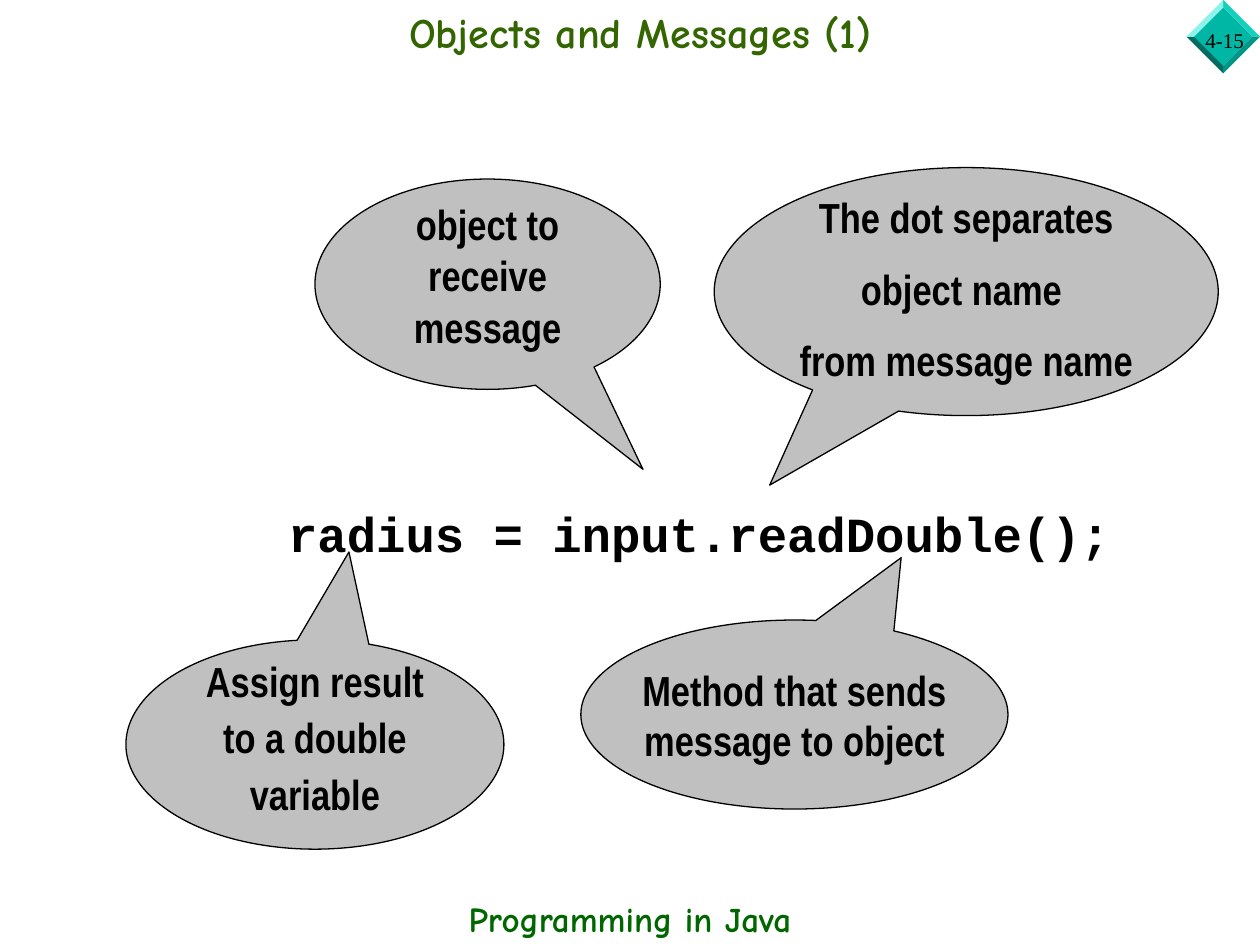
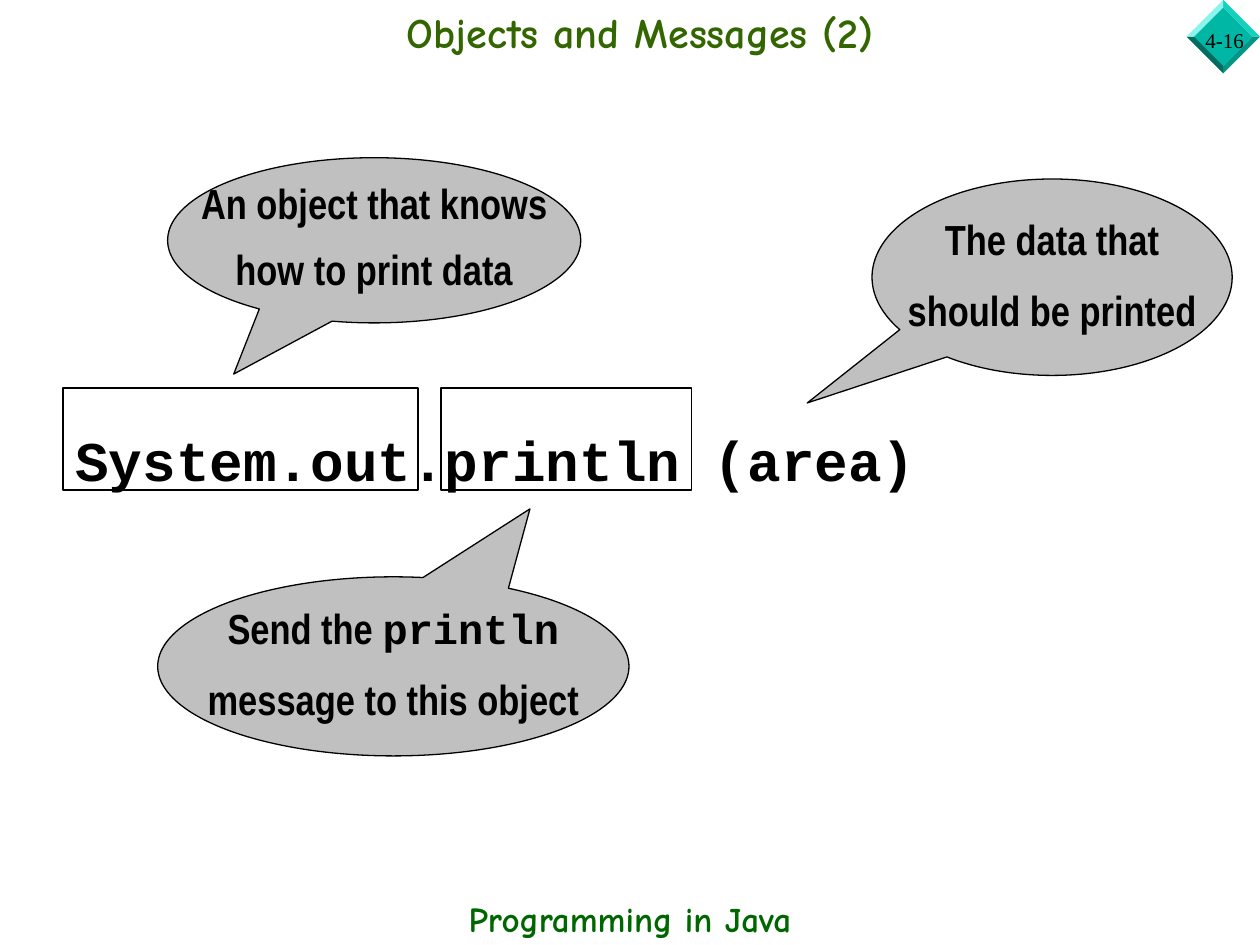
from pptx import Presentation
from pptx.dml.color import RGBColor
from pptx.enum import shapes, text
from pptx.util import Cm, Pt

BLACK = RGBColor(0, 0, 0)
GREY = RGBColor(0xC0, 0xC0, 0xC0)
OLIVE = RGBColor(0x33, 0x66, 0x00)
GREEN = RGBColor(0x00, 0x66, 0x00)
TEAL = RGBColor(0x00, 0xB7, 0xA5)
FACETS = [
    RGBColor(0x14, 0xD1, 0xBE),
    RGBColor(0x00, 0x96, 0x88),
    RGBColor(0x00, 0x6B, 0x61),
    RGBColor(0x8C, 0xF4, 0xEA),
]

COMIC, SERIF = "Comic Neue", "Times New Roman"
NARROW, MONO = "Arial Narrow", "Courier New"
LEFT, MID = text.PP_ALIGN.LEFT, text.PP_ALIGN.CENTER
FOOTER = "Programming in Java"

SLIDES = [
    {
        "title": "Objects and Messages (1)",
        "page": "4-15",
        "code": ("radius = input.readDouble();", 28, (5.56, 10.03, 17.2, 1.37)),
        "frames": [],
        "calls": [
            (["object to", "receive", "message"],
             (6.35, 3.61, 6.96, 4.24), (0.45, 0.88), 0.5, 15),
            (["Method that sends", "message to object"],
             (11.71, 12.5, 8.61, 3.81), (0.25, -0.83), 1.0, 0),
            (["Assign result", "to a double", "variable"],
             (2.54, 12.9, 7.62, 4.22), (0.09, -0.92), 0.6, 15),
            (["The dot separates", "object name ", "from message name"],
             (14.4, 3.38, 10.16, 5.0), (-0.39, 0.78), 0.9, 15),
        ],
    },
    {
        "title": "Objects and Messages (2)",
        "page": "4-16",
        "code": ("System.out.println (area)", 32, (1.27, 8.46, 17.6, 1.52)),
        "frames": [(1.27, 7.82, 7.16, 2.06), (8.89, 7.82, 5.05, 2.06)],
        "calls": [
            (["An object that knows", "how to print data"],
             (3.38, 3.18, 8.33, 3.33), (-0.34, 0.81), 0.8, 15),
            (["Send the `println", "message to this object"],
             (3.18, 11.63, 9.5, 3.61), (0.29, -0.88), 0.9, 15),
            (["The data that", "should be printed"],
             (17.58, 3.61, 7.26, 3.96), (-0.68, 0.64), 0.9, 15),
        ],
    },
]


def place(box):
    return [Cm(n) for n in box]


def write(para, words, font, size, color=BLACK, bold=True):
    run = para.add_run()
    run.text = words
    run.font.name = font
    run.font.size = Pt(size)
    run.font.bold = bold
    run.font.color.rgb = color


def label(slide, box, words, font, size, color=BLACK, bold=True, align=LEFT):
    frame = slide.shapes.add_textbox(*place(box)).text_frame
    frame.word_wrap = True
    para = frame.paragraphs[0]
    para.alignment = align
    write(para, words, font, size, color, bold)


def facet(slide, points, color):
    pen = slide.shapes.build_freeform(*place(points[0]), scale=1.0)
    pen.add_line_segments([place(p) for p in points[1:]], close=True)
    shape = pen.convert_to_shape()
    shape.shadow.inherit = False
    shape.fill.solid()
    shape.fill.fore_color.rgb = color
    shape.line.fill.background()


def badge(slide, page):
    x, y = 24.66, 0.74
    ways = [(0, -1), (1, 0), (0, 1), (-1, 0)]
    outer, inner = [[(x + r * a, y + r * b) for a, b in ways] for r in (0.74, 0.59)]
    facet(slide, inner, TEAL)
    for i, color in enumerate(FACETS):
        j = (i + 1) % 4
        facet(slide, [outer[i], outer[j], inner[j], inner[i]], color)
    label(slide, (24.05, 0.43, 1.35, 0.76), page, SERIF, 12, bold=False)


def head(slide, words):
    title = slide.shapes.title
    title.left, title.top, title.width, title.height = place((2.11, 0, 21.59, 1.27))
    frame = title.text_frame
    frame.auto_size = text.MSO_AUTO_SIZE.NONE
    frame.vertical_anchor = text.MSO_ANCHOR.MIDDLE
    frame.paragraphs[0].alignment = MID
    write(frame.paragraphs[0], words, COMIC, 24, OLIVE)


def outline(slide, kind, box, fill=None):
    shape = slide.shapes.add_shape(kind, *place(box))
    shape.shadow.inherit = False
    if fill is None:
        shape.fill.background()
    else:
        shape.fill.solid()
        shape.fill.fore_color.rgb = fill
    shape.line.color.rgb = BLACK
    shape.line.width = Pt(0.75)
    return shape


def callout(slide, lines, box, tip, pitch, gap):
    shape = outline(slide, shapes.MSO_SHAPE.OVAL_CALLOUT, box, GREY)
    shape.adjustments[0], shape.adjustments[1] = tip
    frame = shape.text_frame
    frame.word_wrap = False
    frame.vertical_anchor = text.MSO_ANCHOR.MIDDLE
    for i, line in enumerate(lines):
        para = frame.add_paragraph() if i else frame.paragraphs[0]
        para.alignment = MID
        para.line_spacing = pitch
        para.space_before = Pt(gap if i else 0)
        for k, part in enumerate(line.split("`")):
            write(para, part, MONO if k % 2 else NARROW, 24)


def main():
    deck = Presentation()
    deck.slide_width, deck.slide_height = Cm(25.4), Cm(19.05)
    for item in SLIDES:
        slide = deck.slides.add_slide(deck.slide_layouts[5])
        badge(slide, item["page"])
        label(slide, (0, 17.96, 25.4, 1.12), FOOTER, COMIC, 20, GREEN, align=MID)
        head(slide, item["title"])
        words, size, box = item["code"]
        label(slide, box, words, MONO, size)
        for box in item["frames"]:
            outline(slide, shapes.MSO_SHAPE.RECTANGLE, box)
        for call in item["calls"]:
            callout(slide, *call)
    deck.save("out.pptx")


if __name__ == "__main__":
    main()
